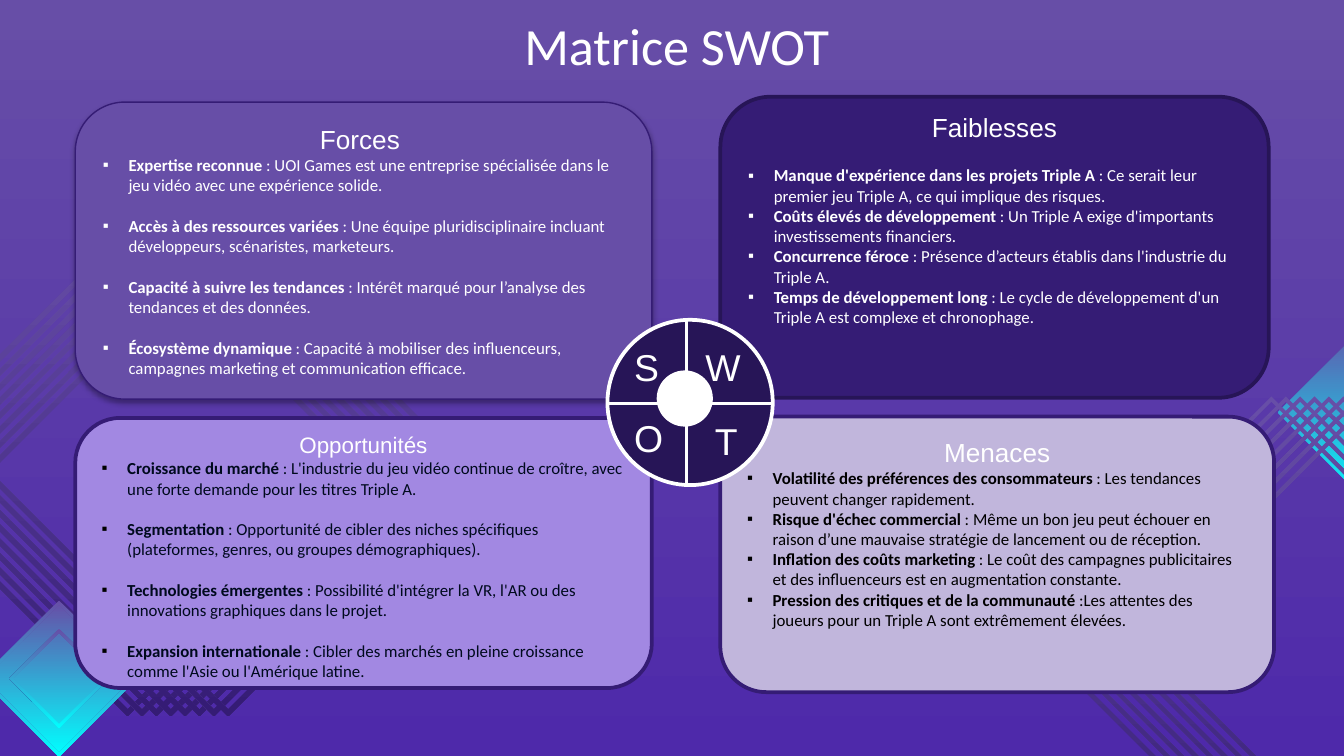
from lxml import etree
from pptx import Presentation
from pptx.dml.color import RGBColor as RGB
from pptx.enum.shapes import MSO_CONNECTOR as LINE, MSO_SHAPE as SHAPE
from pptx.enum.text import MSO_ANCHOR as ANCHOR, PP_ALIGN as ALIGN
from pptx.oxml.ns import qn
from pptx.util import Inches, Pt

HEX = {
    "white": "FFFFFF", "black": "000000", "ink": "000A1E",
    "base": "4E29AA", "violet": "674EA7", "deep": "351C75", "cyan": "00FFFF",
    "night": "271557", "lilac": "A288E2", "mist": "C1B6DC",
}

# Each panel: box, fill, line, line width, text, bullet colour, title, title size,
# top inset, space after the title, space between points, points
PANELS = [
    ((0.56, 0.76, 4.29, 2.21), "violet", "deep", 0.75, "white", "white",
     "Forces ", 14, 0.05, 0, 11, [
        ("Expertise reconnue", " : UOI Games est une entreprise spécialisée dans le jeu vidéo avec une expérience solide."),
        ("Accès à des ressources variées", " : Une équipe pluridisciplinaire incluant développeurs, scénaristes, marketeurs."),
        ("Capacité à suivre les tendances", " : Intérêt marqué pour l’analyse des tendances et des données."),
        ("Écosystème dynamique", " : Capacité à mobiliser des influenceurs, campagnes marketing et communication efficace."),
     ]),
    ((5.36, 0.72, 4.08, 2.24), "deep", "night", 2, "white", "white",
     "Faiblesses", 14, 0, 12, 0, [
        ("Manque d'expérience dans les projets Triple A", " : Ce serait leur premier jeu Triple A, ce qui implique des risques."),
        ("Coûts élevés de développement", " : Un Triple A exige d'importants investissements financiers."),
        ("Concurrence féroce", " : Présence d’acteurs établis dans l'industrie du Triple A."),
        ("Temps de développement long", " : Le cycle de développement d'un Triple A est complexe et chronophage."),
     ]),
    ((0.56, 3.11, 4.29, 2.01), "lilac", "deep", 2, "ink", "black",
     "Opportunités", 12, 0, 0, 11, [
        ("Croissance du marché", " : L'industrie du jeu vidéo continue de croître, avec une forte demande pour les titres Triple A."),
        ("Segmentation", " : Opportunité de cibler des niches spécifiques (plateformes, genres, ou groupes démographiques)."),
        ("Technologies émergentes", " : Possibilité d'intégrer la VR, l'AR ou des innovations graphiques dans le projet."),
        ("Expansion internationale", " : Cibler des marchés en pleine croissance comme l'Asie ou l'Amérique latine."),
     ]),
    ((5.36, 3.1, 4.12, 2.05), "mist", "deep", 2, "black", "black",
     "Menaces", 14, 0.05, 0, 0, [
        ("Volatilité des préférences des consommateurs", " : Les tendances peuvent changer rapidement."),
        ("Risque d'échec commercial", " : Même un bon jeu peut échouer en raison d’une mauvaise stratégie de lancement ou de réception."),
        ("Inflation des coûts marketing", " : Le coût des campagnes publicitaires et des influenceurs est en augmentation constante."),
        ("Pression des critiques et de la communauté", " :Les attentes des joueurs pour un Triple A sont extrêmement élevées."),
     ]),
]


def rgb(name):
    return RGB.from_string(HEX[name])


def inches(*nums):
    return [Inches(n) for n in nums]


def shade(fill, start, end, angle):
    """Two-colour gradient; the angle runs counter-clockwise."""
    fill.gradient()
    fill.gradient_angle = angle
    for stop, name, pos in zip(fill.gradient_stops, (start, end), (0, 1)):
        stop.color.rgb = rgb(name)
        stop.position = pos


def style(font, size, face, color):
    font.size, font.name = Pt(size), face
    font.color.rgb = rgb(color)


def diamond(slide, x, y, radii, end):
    """Diamond around (x, y); a second radius cuts a hole."""
    build = None
    for r in radii:
        pts = [inches(*p) for p in ((x, y - r), (x + r, y), (x, y + r), (x - r, y))]
        if build is None:
            build = slide.shapes.build_freeform(*pts[0])
        else:
            build.move_to(*pts[0])
        build.add_line_segments(pts[1:], close=True)
    shape = build.convert_to_shape()
    shape.shadow.inherit = False
    shade(shape.fill, "violet", end, 270)
    shape.line.fill.background()


def frames(slide, x, y, outer, inner):
    for i in range(8):
        diamond(slide, x + i * 0.107, y, (outer, inner), "deep")


def solid(slide, kind, box, fill, line, width):
    shape = slide.shapes.add_shape(kind, *inches(*box))
    shape.shadow.inherit = False
    shape.fill.solid()
    shape.fill.fore_color.rgb = rgb(fill)
    shape.line.color.rgb = rgb(line)
    shape.line.width = Pt(width)
    return shape


def label(slide, text, box, size, face, align=ALIGN.LEFT, top=0.05):
    frame = slide.shapes.add_textbox(*inches(*box)).text_frame
    frame.word_wrap = True
    frame.margin_top = frame.margin_bottom = Inches(top)
    para = frame.paragraphs[0]
    para.text, para.alignment = text, align
    style(para.font, size, face, "white")


def bullet(para, color):
    props = para._p.get_or_add_pPr()
    props.set("marL", str(Inches(0.19)))
    props.set("indent", str(-Inches(0.19)))
    tint = etree.SubElement(props, qn("a:buClr"))
    etree.SubElement(tint, qn("a:srgbClr"), val=HEX[color])
    etree.SubElement(props, qn("a:buFont"), typeface="Arial")
    etree.SubElement(props, qn("a:buChar"), char="▪")


def panel(slide, box, fill, line, width, ink, mark, title, size, top, after, gap, points):
    shape = solid(slide, SHAPE.ROUNDED_RECTANGLE, box, fill, line, width)
    frame = shape.text_frame
    frame.word_wrap = True
    frame.vertical_anchor = ANCHOR.TOP
    frame.margin_top, frame.margin_bottom = Inches(top), 0
    head = frame.paragraphs[0]
    head.text, head.alignment = title, ALIGN.CENTER
    head.space_after = Pt(after)
    style(head.font, size, "Arial", "white")
    for i, (term, rest) in enumerate(points):
        para = frame.add_paragraph()
        bullet(para, mark)
        para.alignment = ALIGN.LEFT
        para.space_before = Pt(gap if i else 0)
        style(para.font, 9, "Calibri", ink)
        run = para.add_run()
        run.text, run.font.bold = term, True
        para.add_run().text = rest
    return shape


def drop(shape):
    """Soft shadow below the shape."""
    effects = shape._element.spPr.find(qn("a:effectLst"))
    outer = etree.SubElement(effects, qn("a:outerShdw"), blurRad=str(Pt(3.1)),
                             dist=str(Pt(1.8)), dir="5400000", rotWithShape="0")
    tint = etree.SubElement(outer, qn("a:srgbClr"), val=HEX["black"])
    etree.SubElement(tint, qn("a:alpha"), val="35000")


def rule(slide, *ends):
    line = slide.shapes.add_connector(LINE.STRAIGHT, *inches(*ends))
    line.line.color.rgb = rgb("white")
    line.line.width = Pt(1.5)
    etree.SubElement(line._element.spPr, qn("a:effectLst"))


def wheel(slide):
    solid(slide, SHAPE.OVAL, (4.52, 2.38, 1.23, 1.23), "night", "white", 2)
    solid(slide, SHAPE.OVAL, (4.9, 2.77, 0.39, 0.39), "white", "white", 2)
    for text, x, y in (("S", 4.62, 2.51), ("W", 5.15, 2.51),
                       ("O", 4.62, 3.04), ("T", 5.22, 3.06)):
        label(slide, text, (x, y, 0.57, 0.44), 20, "Arial")
    rule(slide, 4.52, 3, 5.74, 3)
    rule(slide, 5.11, 3.61, 5.11, 2.38)


def main():
    # Widescreen slide, 16:9
    prs = Presentation()
    prs.slide_width = Inches(10)
    prs.slide_height = prs.slide_width * 9 // 16
    slide = prs.slides.add_slide(prs.slide_layouts[6])

    # Background and diamonds
    shade(slide.background.fill, "base", "violet", 90)
    frames(slide, 0.95, 3.51, 1.82, 1.77)
    for radii in ((0.57,), (0.58, 0.55), (0.37, 0.34)):
        diamond(slide, 0.44, 5.05, radii, "cyan")
    diamond(slide, 10.2, 3.07, (0.69,), "cyan")
    frames(slide, 9.46, 4.74, 1.79, 1.75)

    # Title
    label(slide, "Matrice SWOT", (3.21, 0, 3.65, 0.6), 28, "Calibri", ALIGN.CENTER, 0.1)

    # Panels, the first with a shadow
    shapes = [panel(slide, *data) for data in PANELS]
    drop(shapes[0])

    # Central wheel
    wheel(slide)
    prs.save("out.pptx")


if __name__ == "__main__":
    main()
